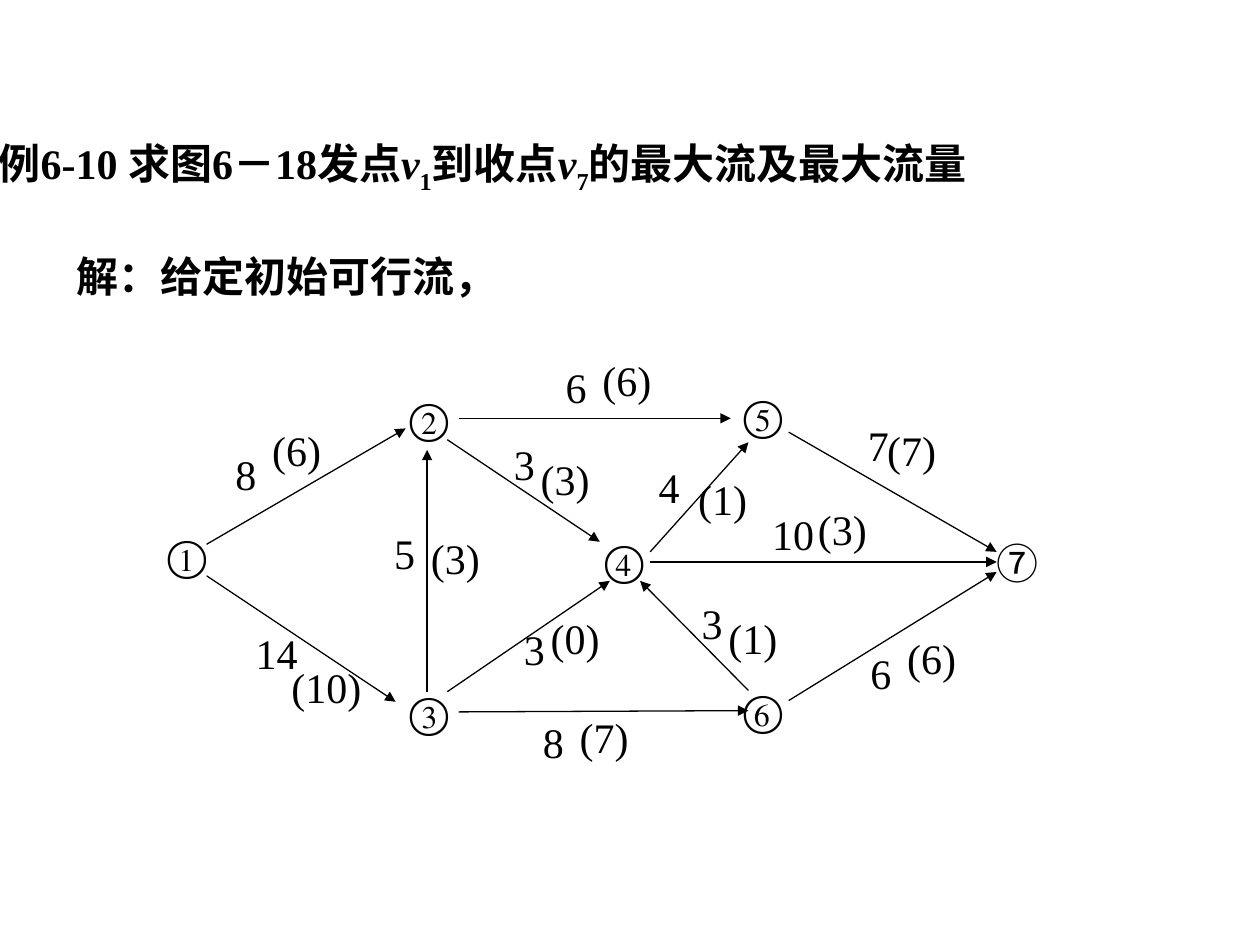
from lxml import etree
from pptx import Presentation
from pptx.dml.color import RGBColor
from pptx.enum.shapes import MSO_CONNECTOR
from pptx.enum.text import MSO_ANCHOR, MSO_AUTO_SIZE, PP_ALIGN
from pptx.oxml.ns import qn
from pptx.util import Inches, Pt

BLACK = RGBColor(0, 0, 0)
LINE = MSO_CONNECTOR.STRAIGHT
MID, TOP = MSO_ANCHOR.MIDDLE, MSO_ANCHOR.TOP
FIT = MSO_AUTO_SIZE.SHAPE_TO_FIT_TEXT
LEFT, MIDDLE = PP_ALIGN.LEFT, PP_ALIGN.CENTER
SERIF, HAN = "Times New Roman", "Noto Sans CJK SC"

WIDE, HIGH = Inches(10), Inches(7.5)
COL, ROW = WIDE / 100, HIGH / 75

NODES = [
    ("①", 2.85, 16), ("②", 22.05, 5.2), ("③", 22.05, 28.5),
    ("④", 37.55, 16.4), ("⑤", 48.55, 4.9), ("⑥", 48.55, 28.3),
    ("⑦", 68.75, 16.7),
]

# start, end, capacity, its centre, flow, its centre
EDGES = [
    ((4.4, 15.2), (20.2, 6), "8", (7.5, 9.6), "(6)", (11.55, 7.7)),
    ((4.4, 17.7), (19.4, 27.7), "14", (9.95, 23.8), "(10)", (13.9, 26.5)),
    ((21.9, 26.9), (21.9, 7.7), "5", (20.1, 15.9), "(3)", (24.15, 16.3)),
    ((24.4, 5.2), (46, 5.2), "6", (33.7, 2.7), "(6)", (37.75, 2.1)),
    ((24.4, 28.5), (47.4, 28.4), "8", (31.9, 30.9), "(7)", (35.95, 30.5)),
    ((23.5, 6.9), (35.6, 15), "3", (29.6, 8.8), "(3)", (32.85, 10)),
    ((23.5, 26.9), (36.4, 18.1), "3", (30.4, 23.5), "(0)", (33.65, 22.6)),
    ((50.6, 6.3), (67.1, 15.8), "7", (57.7, 7.3), "(7)", (60.35, 7.7)),
    ((50.6, 27.6), (67.1, 17.4), "6", (57.9, 25.4), "(6)", (61.95, 24.2)),
    ((39.6, 15.8), (47.4, 7.1), "4", (41.1, 10.6), "(1)", (45.35, 11.6)),
    ((39.6, 16.6), (67.1, 16.6), "10", (50.95, 14.4), "(3)", (54.85, 14)),
    ((47.4, 26.8), (38.8, 18.1), "3", (44.5, 21.4), "(1)", (47.75, 22.6)),
]

TITLE = [
    ("例6-10 求图6－18发点", ""), ("v", "i"), ("1", "sub"), ("到收点", ""),
    ("v", "i"), ("7", "sub"), ("的最大流及最大流量", ""),
]


def write(slide, box, runs, align=LEFT, bold=False, face=SERIF, east=HAN,
          pad=(0.1, 0.05), wrap=False, anchor=TOP):
    x, y, w, h = box
    shape = slide.shapes.add_textbox(
        int(x * COL), int(y * ROW), int(w * COL), int(h * ROW))
    frame = shape.text_frame
    frame.word_wrap = wrap
    frame.auto_size = FIT
    frame.vertical_anchor = anchor
    frame.margin_left = frame.margin_right = Inches(pad[0])
    frame.margin_top = frame.margin_bottom = Inches(pad[1])
    para = frame.paragraphs[0]
    para.alignment = align
    font = para.font
    font.name, font.size, font.bold = face, Pt(24), bold
    font.color.rgb = BLACK
    for text, style in runs:
        run = para.add_run()
        run.text = text
        props = run._r.get_or_add_rPr()
        if style == "i":
            run.font.italic = True
        elif style == "sub":
            props.set("baseline", "-25000")
        etree.SubElement(props, qn("a:ea")).set("typeface", east)


def label(slide, x, y, text, w, h=5, **look):
    write(slide, (x - w / 2, y - h / 2, w, h), [(text, "")], MIDDLE, **look)


def arrow(slide, x1, y1, x2, y2):
    link = slide.shapes.add_connector(
        LINE, int(x1 * COL), int(y1 * ROW), int(x2 * COL), int(y2 * ROW))
    link.line.color.rgb = BLACK
    link.line.width = Pt(0.75)
    etree.SubElement(link.line._get_or_add_ln(),
                     qn("a:tailEnd")).set("type", "triangle")
    etree.SubElement(link._element.spPr, qn("a:effectLst"))


def graph(slide, left, top):
    for text, x, y in NODES:
        face = HAN if text == "⑦" else SERIF
        label(slide, left + x, top + y, text, 5.3, face=face, east=face)
    for (x1, y1), (x2, y2), cap, (cx, cy), flow, (fx, fy) in EDGES:
        arrow(slide, left + x1, top + y1, left + x2, top + y2)
        label(slide, left + cx, top + cy, cap, 1.9 + 1.7 * len(cap))
        label(slide, left + fx, top + fy, flow, 1.7 * len(flow) - 0.8,
              4.2, pad=(0.02, 0.01))


def heading(slide, left, top):
    write(slide, (left, top, 86.8, 5.6), TITLE, bold=True, anchor=MID)
    write(slide, (left + 6.2, top + 9, 55.9, 5),
          [("解：给定初始可行流，", "")], bold=True, wrap=True)


def main():
    deck = Presentation()
    deck.slide_width, deck.slide_height = WIDE, HIGH
    slide = deck.slides.add_slide(deck.slide_layouts[6])
    graph(slide, 12, 28)
    heading(slide, -1.1, 10.4)
    deck.save("out.pptx")


if __name__ == "__main__":
    main()
